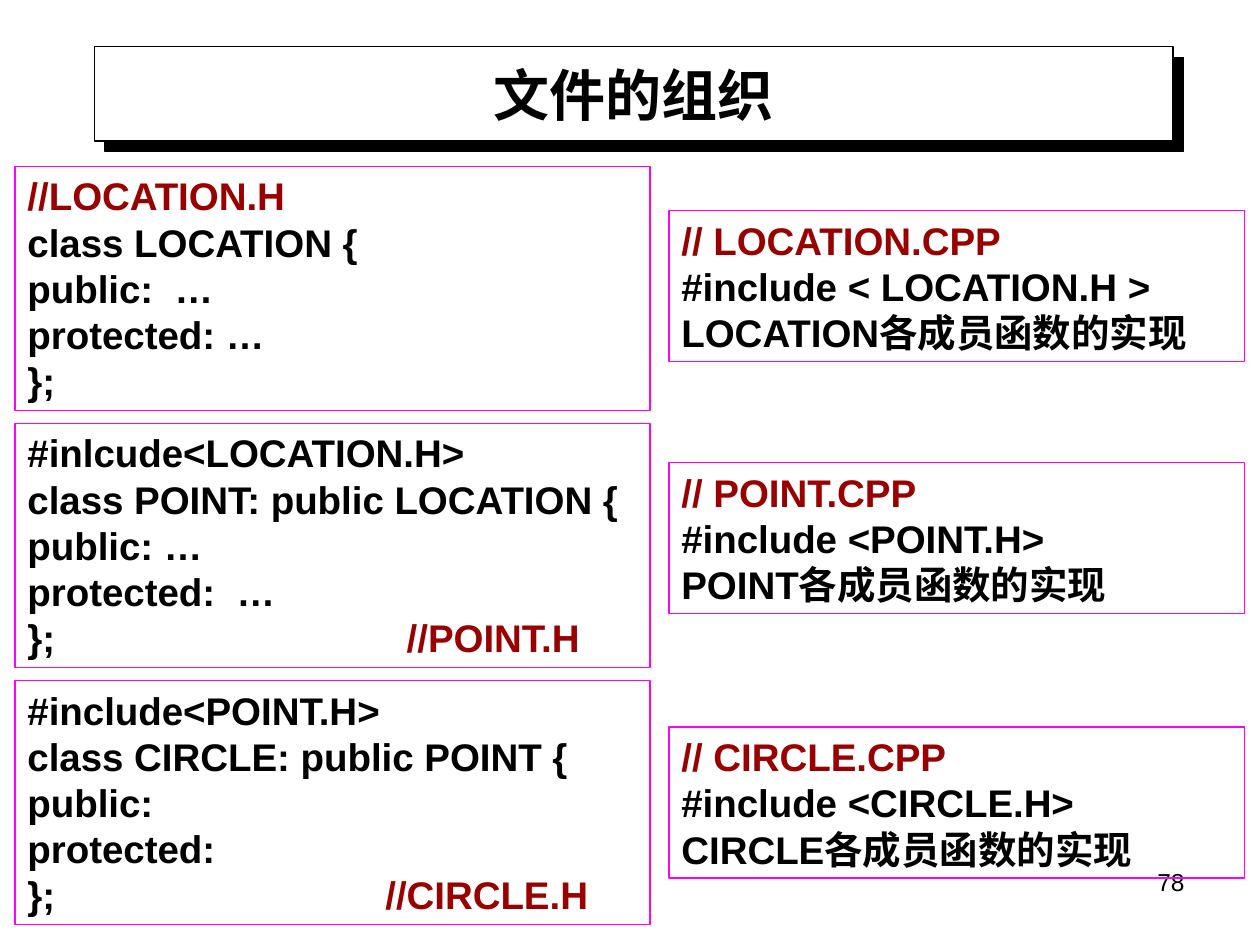
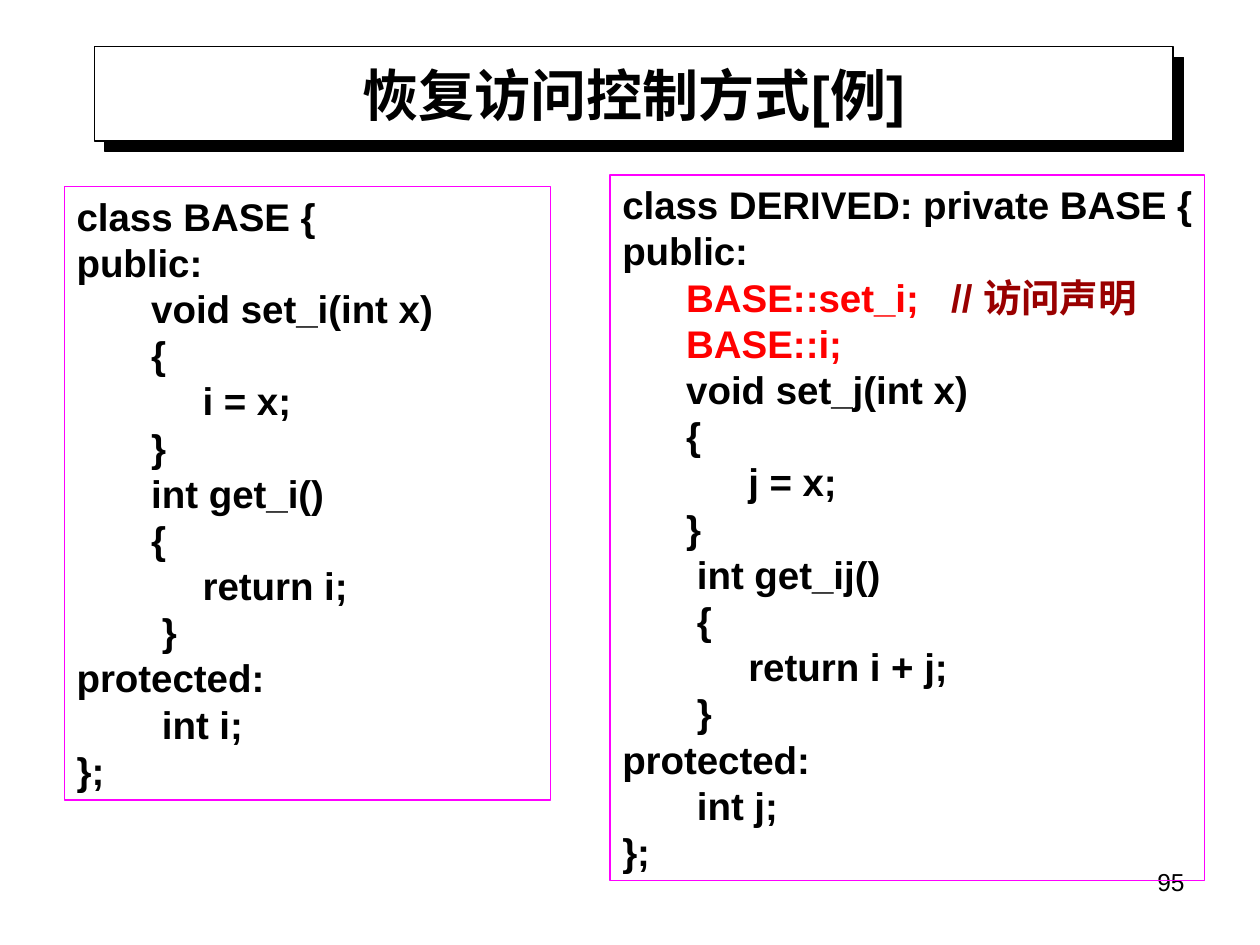
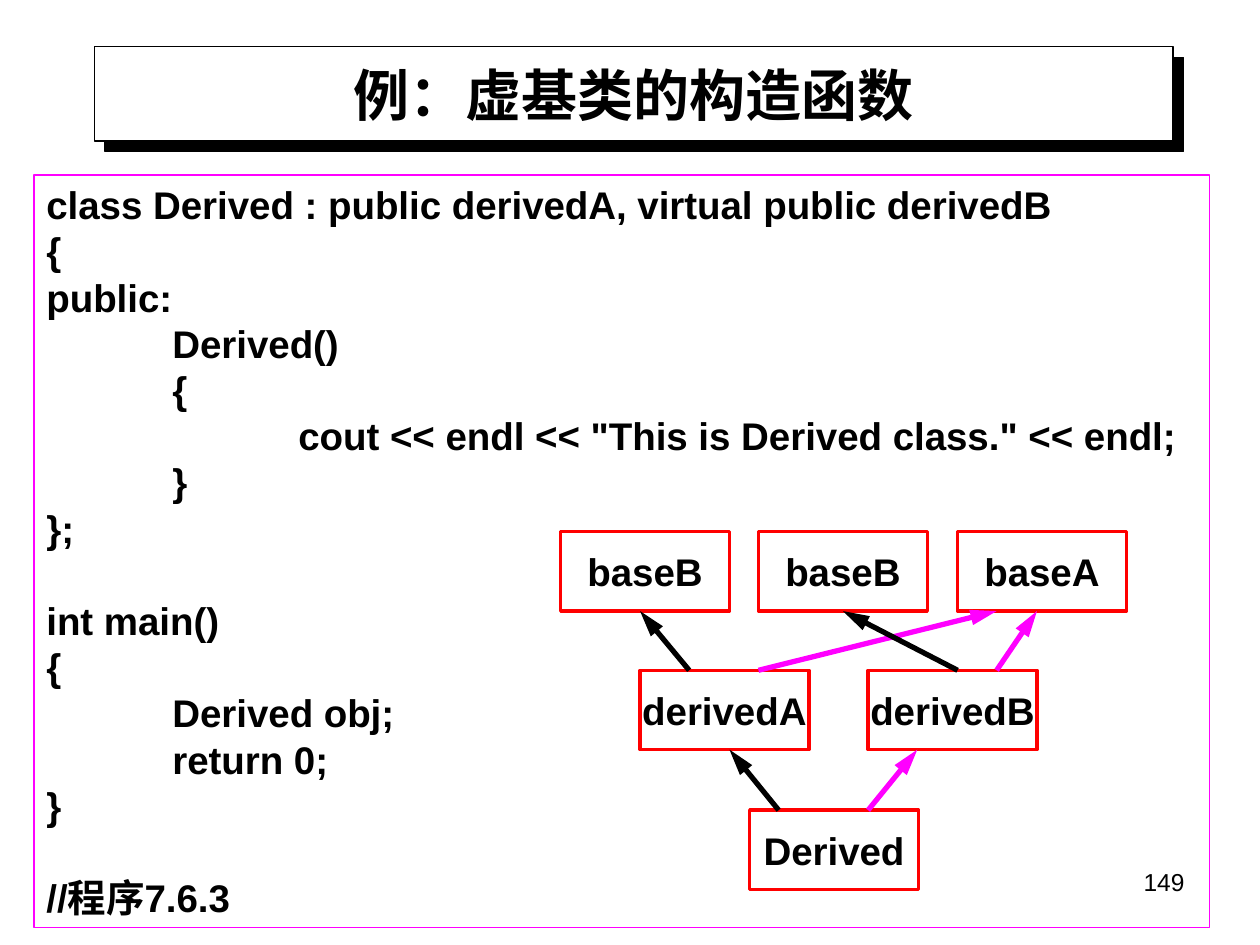
import pptx
import pptx.util
import pptx.dml.color
import pptx.enum.shapes
import pptx.enum.text
import pptx.oxml
import pptx.oxml.ns
from lxml import etree

Inches, Pt = pptx.util.Inches, pptx.util.Pt
RGB = pptx.dml.color.RGBColor.from_string
ALIGN = pptx.enum.text.PP_ALIGN
ANCHOR = pptx.enum.text.MSO_ANCHOR
RECTANGLE = pptx.enum.shapes.MSO_SHAPE.RECTANGLE
STRAIGHT = pptx.enum.shapes.MSO_CONNECTOR.STRAIGHT
qn = pptx.oxml.ns.qn

COLOURS = {"ink": "000000", "paper": "FFFFFF", "comment": "990000",
           "access": "FF0000", "frame": "FF00FF", "node": "FF0000",
           "virtual": "FF00FF"}
CJK_FONT = "Noto Sans CJK SC"
CODE_SIZE = 22
LEADING = 1.2
TITLE_AREA = [Inches(v) for v in (0.75, 0.37, 8.56, 0.75)]
BAND_SHADOW = (
    f'<a:effectLst xmlns:a="{pptx.oxml.ns.nsuri("a")}">'
    f'<a:outerShdw dist="{Pt(8.5)}" dir="2700000" algn="ctr" rotWithShape="0">'
    f'<a:srgbClr val="{COLOURS["ink"]}"/></a:outerShdw></a:effectLst>')


def write_lines(frame, lines, size=CODE_SIZE, bold=True, align=ALIGN.LEFT,
                font="Arial", gap_before=(), tab_stops=(1, 2)):
    """Each line is a string or a list of (text, colour name) parts."""
    for number, line in enumerate(lines):
        paragraph = frame.paragraphs[0] if number == 0 else frame.add_paragraph()
        paragraph.alignment = align
        paragraph.line_spacing = Pt(size * LEADING)
        if number in gap_before:
            paragraph.space_before = Pt(size * LEADING)
        stops = etree.SubElement(paragraph._p.get_or_add_pPr(), qn("a:tabLst"))
        for stop in tab_stops:
            etree.SubElement(stops, qn("a:tab"), pos=str(Inches(stop)), algn="l")
        parts = [(line, "ink")] if isinstance(line, str) else line
        for text, colour in parts:
            run = paragraph.add_run()
            run.text = text
            run.font.name = font
            run.font.size = Pt(size)
            run.font.bold = bold
            run.font.color.rgb = RGB(COLOURS[colour])
            etree.SubElement(run._r.get_or_add_rPr(), qn("a:ea"), typeface=CJK_FONT)


def add_frame(slide, area, lines, colour="frame", weight=0.75,
              anchor=ANCHOR.TOP, wrap=True, **style):
    box = slide.shapes.add_shape(RECTANGLE, *[Inches(v) for v in area])
    box.shadow.inherit = False
    box.fill.background()
    box.line.color.rgb = RGB(COLOURS[colour])
    box.line.width = Pt(weight)
    box.text_frame.word_wrap = wrap
    if wrap:
        box.text_frame.margin_right = Inches(0.05)
    box.text_frame.vertical_anchor = anchor
    write_lines(box.text_frame, lines, **style)


deck = pptx.Presentation()
deck.slide_width, deck.slide_height = Inches(10), Inches(7.5)

# Shared title band and page number
pages = [("文件的组织", "Times New Roman", "78"),
         ("恢复访问控制方式[例]", "Arial", "95"),
         ("例：虚基类的构造函数", "Arial", "149")]
slides = []
for heading, heading_font, page_number in pages:
    slide = deck.slides.add_slide(deck.slide_layouts[5])
    slides.append(slide)
    title = slide.shapes.title
    title.left, title.top, title.width, title.height = TITLE_AREA
    title.text_frame.auto_size = pptx.enum.text.MSO_AUTO_SIZE.NONE
    title.text_frame.vertical_anchor = ANCHOR.MIDDLE
    write_lines(title.text_frame, [heading], size=32, align=ALIGN.CENTER,
                font=heading_font)

    band = slide.shapes.add_shape(RECTANGLE, *TITLE_AREA)
    band.fill.solid()
    band.fill.fore_color.rgb = RGB(COLOURS["paper"])
    band.line.color.rgb = RGB(COLOURS["ink"])
    band.line.width = Pt(0.75)
    band.element.spPr.append(pptx.oxml.parse_xml(BAND_SHADOW))
    title.element.addprevious(band.element)

    footer = slide.shapes.add_textbox(Inches(7.17), Inches(6.83),
                                      Inches(2.33), Inches(0.52))
    footer.text_frame.word_wrap = True
    write_lines(footer.text_frame, [page_number], size=14, bold=False,
                align=ALIGN.RIGHT)

file_slide, access_slide, virtual_slide = slides

# File organisation: headers on the left
headers = [
    (1.32, 1, [[("//LOCATION.H", "comment")], "class LOCATION {",
               "public:  …", "protected: …", "};"]),
    (3.36, 3.01, ["#inlcude<LOCATION.H>", "class POINT: public LOCATION {",
                  "public: …", "protected:  …",
                  [("};\t", "ink"), ("//POINT.H", "comment")]]),
    (5.4, 2.84, ["#include<POINT.H>", "class CIRCLE: public POINT {",
                 "public:", "protected:",
                 [("};\t", "ink"), ("//CIRCLE.H", "comment")]]),
]
for top, comment_tab, lines in headers:
    add_frame(file_slide, (0.12, top, 5.04, 1.94), lines,
              tab_stops=[comment_tab])

# File organisation: implementations on the right
implementations = [(1.67, "LOCATION", "< LOCATION.H >"),
                   (3.67, "POINT", "<POINT.H>"),
                   (5.77, "CIRCLE", "<CIRCLE.H>")]
for top, class_name, header in implementations:
    add_frame(file_slide, (5.31, top, 4.57, 1.2),
              [[(f"// {class_name}.CPP", "comment")], f"#include {header}",
               f"{class_name}各成员函数的实现"])

# Restored access: base and derived class
base_class = """class BASE {
public:
       void set_i(int x)
       {
\ti = x;
       }
       int get_i()
       {
\treturn i;
        }
protected:
        int i;
};"""
add_frame(access_slide, (0.51, 1.48, 3.86, 4.87), base_class.split("\n"))

derived_class = """      void set_j(int x)
      {
\tj = x;
      }
       int get_ij()
       {
\treturn i + j;
       }
protected:
       int j;
};"""
access_declarations = [
    [("      BASE::set_i;\t", "access"), ("// 访问声明", "comment")],
    [("      BASE::i;", "access")]]
add_frame(access_slide, (4.84, 1.39, 4.72, 5.6),
          ["class DERIVED: private BASE {", "public:", *access_declarations,
           *derived_class.split("\n")], tab_stops=(1, 2.61))

# Virtual base class: program
program = """class Derived : public derivedA, virtual public derivedB
{
public:
\tDerived()
\t{
\t\tcout << endl << "This is Derived class." << endl;
\t}
};
int main()
{
\tDerived obj;
\treturn 0;
}
//程序7.6.3""".split("\n")
add_frame(virtual_slide, (0.27, 1.39, 9.33, 5.97), program,
          gap_before=(program.index("int main()"), len(program) - 1))

# Virtual base class: inheritance diagram
NODE_WIDTH, NODE_HEIGHT = 1.34, 0.63
levels = [(4.22, [(4.45, "baseB"), (6.02, "baseB"), (7.6, "baseA")]),
          (5.32, [(5.08, "derivedA"), (6.89, "derivedB")]),
          (6.43, [(5.95, "Derived")])]
for top, nodes in levels:
    for left, class_name in nodes:
        add_frame(virtual_slide, (left, top, NODE_WIDTH, NODE_HEIGHT),
                  [class_name], colour="node", weight=2, anchor=ANCHOR.MIDDLE,
                  wrap=False, align=ALIGN.CENTER)

# Each arrow: lower level, start x, end x, colour
inheritance = [(1, 5.47, 5.08, "ink"), (2, 6.18, 5.79, "ink"),
               (1, 6.02, 7.91, "virtual"), (1, 7.6, 6.69, "ink"),
               (1, 7.91, 8.23, "virtual"), (2, 6.89, 7.28, "virtual")]
for level, start_x, end_x, colour in inheritance:
    start_y = levels[level][0]
    end_y = levels[level - 1][0] + NODE_HEIGHT
    arrow = virtual_slide.shapes.add_connector(
        STRAIGHT, Inches(start_x), Inches(start_y), Inches(end_x), Inches(end_y))
    arrow.line.color.rgb = RGB(COLOURS[colour])
    arrow.line.width = Pt(3)
    etree.SubElement(arrow.line._get_or_add_ln(), qn("a:tailEnd"),
                     type="triangle", w="med", len="lg")
    etree.SubElement(arrow.element.spPr, qn("a:effectLst"))

deck.save("out.pptx")
